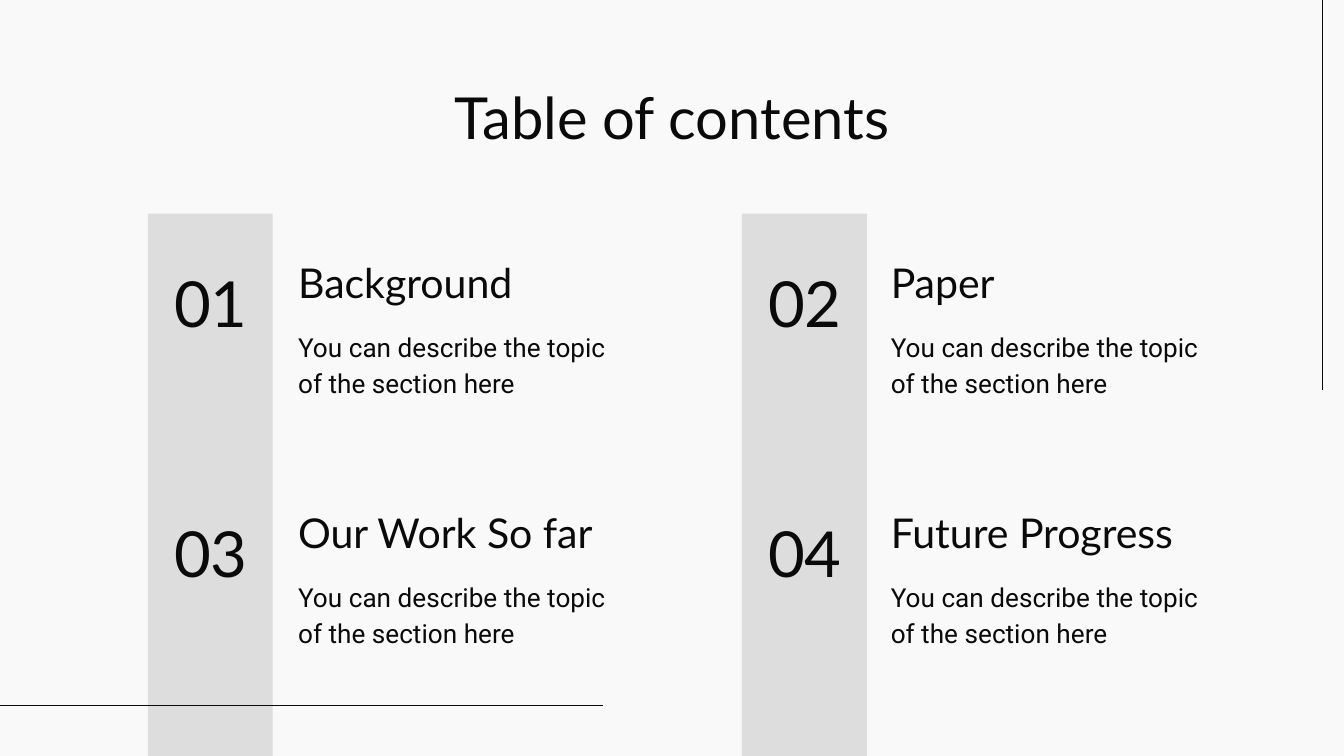
from dataclasses import dataclass

from lxml.etree import SubElement
from pptx import Presentation
from pptx.dml.color import RGBColor
from pptx.enum.shapes import MSO_CONNECTOR, MSO_SHAPE
from pptx.enum.text import MSO_ANCHOR, PP_ALIGN
from pptx.oxml.ns import qn
from pptx.util import Inches, Pt


@dataclass(frozen=True)
class Theme:
    paper: RGBColor = RGBColor(0xF9, 0xF9, 0xF9)
    band: RGBColor = RGBColor(0xDD, 0xDD, 0xDD)
    ink: RGBColor = RGBColor(0x0A, 0x0A, 0x0A)
    heading_font: str = "Lato"
    body_font: str = "Roboto"
    title_size: int = 31
    number_size: int = 34
    topic_size: int = 22
    body_size: int = 14
    rule_width: float = 0.75


THEME = Theme()
PAGE_WIDTH = 10
PAGE_HEIGHT = PAGE_WIDTH * 9 / 16
BAND_LEFTS = (1.1, 5.52)
TEXT_LEFTS = (2.12, 6.53)
BAND_TOP, BAND_WIDTH = 1.59, 0.93
ROW_TOP, ROW_PITCH = 1.5, 1.86
DESCRIPTION = "You can describe the topic of the section here"
# Topics by row, left to right
TOPICS = [["Background", "Paper"], ["Our Work So far", "Future Progress"]]


def add_text(page, text, left, top, width, height, size, font=THEME.heading_font,
             align=PP_ALIGN.LEFT, anchor=MSO_ANCHOR.TOP, spacing=None):
    box = page.shapes.add_textbox(Inches(left), Inches(top), Inches(width), Inches(height))
    frame = box.text_frame
    frame.word_wrap = True
    frame.vertical_anchor = anchor
    frame.margin_left = frame.margin_right = Inches(0.1)
    frame.margin_top = frame.margin_bottom = Inches(0.1)
    frame.text = text
    para = frame.paragraphs[0]
    para.alignment = align
    para.line_spacing = spacing
    span = para.runs[0]
    span.font.name = font
    span.font.size = Pt(size)
    span.font.color.rgb = THEME.ink


def add_rule(page, start_x, start_y, end_x, end_y):
    rule = page.shapes.add_connector(
        MSO_CONNECTOR.STRAIGHT,
        Inches(start_x), Inches(start_y), Inches(end_x), Inches(end_y))
    rule.line.color.rgb = THEME.ink
    rule.line.width = Pt(THEME.rule_width)
    SubElement(rule.element.spPr, qn("a:effectLst"))


def add_band(page, left, top, width, height):
    band = page.shapes.add_shape(
        MSO_SHAPE.RECTANGLE, Inches(left), Inches(top), Inches(width), Inches(height))
    band.shadow.inherit = False
    band.fill.solid()
    band.fill.fore_color.rgb = THEME.band
    band.line.fill.background()


def add_entry(page, number, topic, band_left, text_left, top):
    """Place one contents entry: its number on the band, its text beside it."""
    add_text(page, f"{number:02d}", band_left - 0.01, top + 0.12, 0.96, 1.26,
             THEME.number_size, align=PP_ALIGN.CENTER, anchor=MSO_ANCHOR.MIDDLE)
    add_text(page, topic, text_left, top, 2.5, 0.88,
             THEME.topic_size, anchor=MSO_ANCHOR.BOTTOM)
    add_text(page, DESCRIPTION, text_left, top + 0.83, 2.5, 0.71,
             THEME.body_size, font=THEME.body_font, spacing=1.15)


def build_contents(page):
    page.background.fill.solid()
    page.background.fill.fore_color.rgb = THEME.paper

    # Bands and rules behind the text
    for left in BAND_LEFTS:
        add_band(page, left, BAND_TOP, BAND_WIDTH, PAGE_HEIGHT - BAND_TOP)
    add_rule(page, 9.84, 2.9, 9.84, 0)
    add_rule(page, 0, 5.25, 4.49, 5.25)

    # Title
    add_text(page, "Table of contents", 0.78, 0.51, 8.44, 0.6,
             THEME.title_size, align=PP_ALIGN.CENTER)

    # Numbered entries
    for row, topics in enumerate(TOPICS):
        top = ROW_TOP + row * ROW_PITCH
        for column, topic in enumerate(topics):
            number = row * len(topics) + column + 1
            add_entry(page, number, topic, BAND_LEFTS[column], TEXT_LEFTS[column], top)


def main():
    deck = Presentation()
    deck.slide_width, deck.slide_height = Inches(PAGE_WIDTH), Inches(PAGE_HEIGHT)
    build_contents(deck.slides.add_slide(deck.slide_layouts[6]))
    deck.save("out.pptx")


if __name__ == "__main__":
    main()
